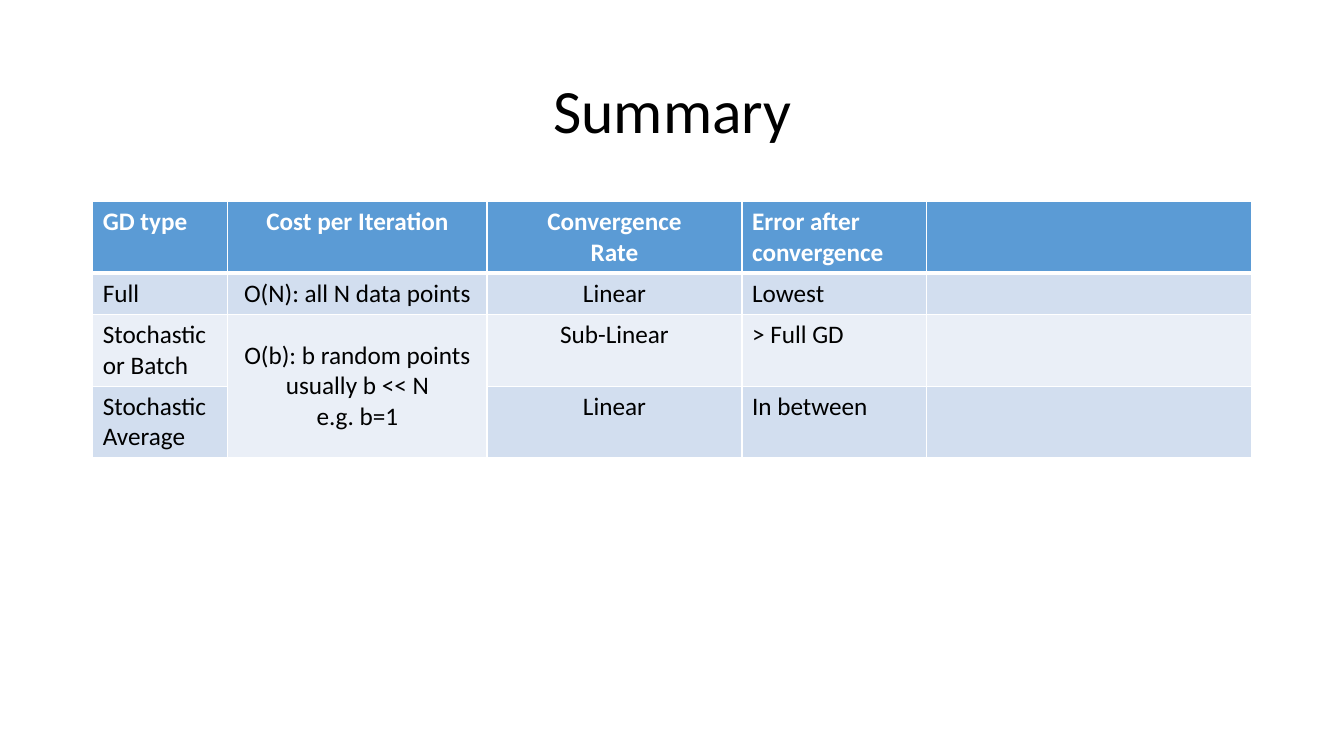
from pptx import Presentation
from pptx.dml.color import RGBColor as RGB
from pptx.enum.text import MSO_ANCHOR as ANCHOR, PP_ALIGN as ALIGN
from pptx.oxml.ns import qn
from pptx.util import Inches, Pt
from lxml.etree import SubElement as Sub

COLORS = {"head": "5B9BD5", "dark": "D2DEEF", "light": "EAEFF7",
          "white": "FFFFFF", "black": "000000"}
WIDTHS = [1.34, 2.57, 2.53, 1.83, 3.22]
HEIGHTS = [0.7, 0.41, 0.7, 0.7]
CENTERED = (1, 2)
ROWS = [
    ["GD type", "Cost per Iteration", "Convergence\nRate", "Error after convergence", ""],
    ["Full", "O(N): all N data points", "Linear", "Lowest", ""],
    ["Stochastic\nor Batch", "O(b): b random points\nusually b << N\ne.g. b=1",
     "Sub-Linear", "> Full GD", ""],
    ["Stochastic Average", "", "Linear", "In between", ""],
]


def color(name):
    return RGB.from_string(COLORS[name])


def write(frame, text, size=18, ink="black", bold=False, align=ALIGN.LEFT, spacing=None):
    frame.text = text
    for para in frame.paragraphs:
        para.alignment = align
        para.line_spacing = spacing
        for font in [para.font] + [run.font for run in para.runs]:
            font.name = "Calibri"
            font.size = Pt(size)
            font.bold = bold
            font.color.rgb = color(ink)


def border(cell, **sides):
    props = cell._tc.get_or_add_tcPr()
    for side in "LRTB":
        line = Sub(props, qn("a:ln" + side), w=str(Pt(sides.get(side, 1))))
        Sub(Sub(line, qn("a:solidFill")), qn("a:srgbClr"), val=COLORS["white"])


def add_title(slide, text):
    title = slide.shapes.title
    title.left, title.top = Inches(0.92), Inches(0.4)
    title.width, title.height = Inches(11.5), Inches(1.45)
    write(title.text_frame, text, size=44, align=ALIGN.CENTER, spacing=0.9)
    title.text_frame.vertical_anchor = ANCHOR.MIDDLE


def add_grid(slide):
    table = slide.shapes.add_table(
        len(ROWS), len(WIDTHS), Inches(0.92), Inches(2),
        Inches(sum(WIDTHS)), Inches(sum(HEIGHTS))).table
    for col, width in zip(table.columns, WIDTHS):
        col.width = Inches(width)
    for row, height in zip(table.rows, HEIGHTS):
        row.height = Inches(height)
    for r, texts in enumerate(ROWS):
        head = r == 0
        shade = "head" if head else "dark" if r % 2 else "light"
        for c, text in enumerate(texts):
            cell = table.cell(r, c)
            write(cell.text_frame, text, ink="white" if head else "black", bold=head,
                  align=ALIGN.CENTER if c in CENTERED else ALIGN.LEFT)
            border(cell, T=3 if r == 1 else 1, B=3 if head else 1)
            cell.fill.solid()
            cell.fill.fore_color.rgb = color(shade)
    cost = table.cell(2, 1)
    cost.merge(table.cell(3, 1))
    cost.vertical_anchor = ANCHOR.MIDDLE


def main():
    deck = Presentation()
    deck.slide_width, deck.slide_height = Inches(13.33), Inches(7.5)
    slide = deck.slides.add_slide(deck.slide_layouts[5])
    add_title(slide, "Summary")
    add_grid(slide)
    deck.save("out.pptx")


main()
